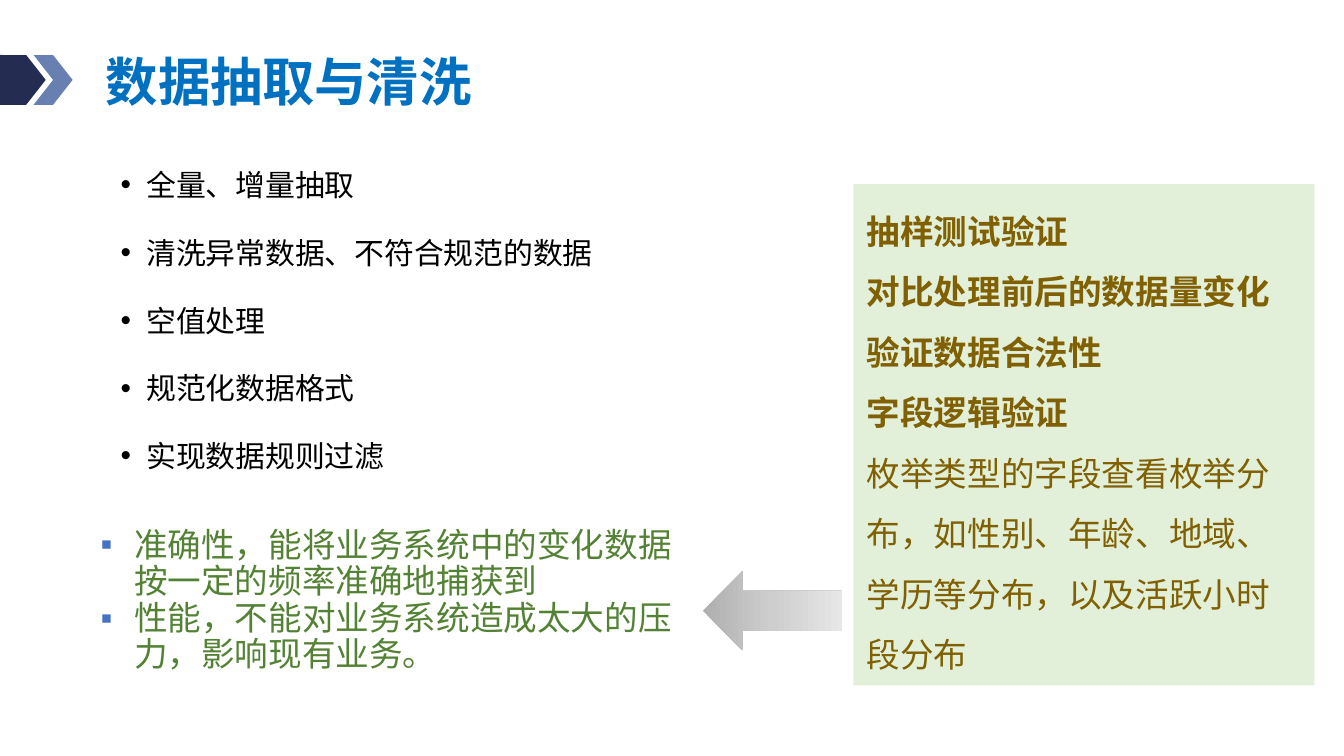
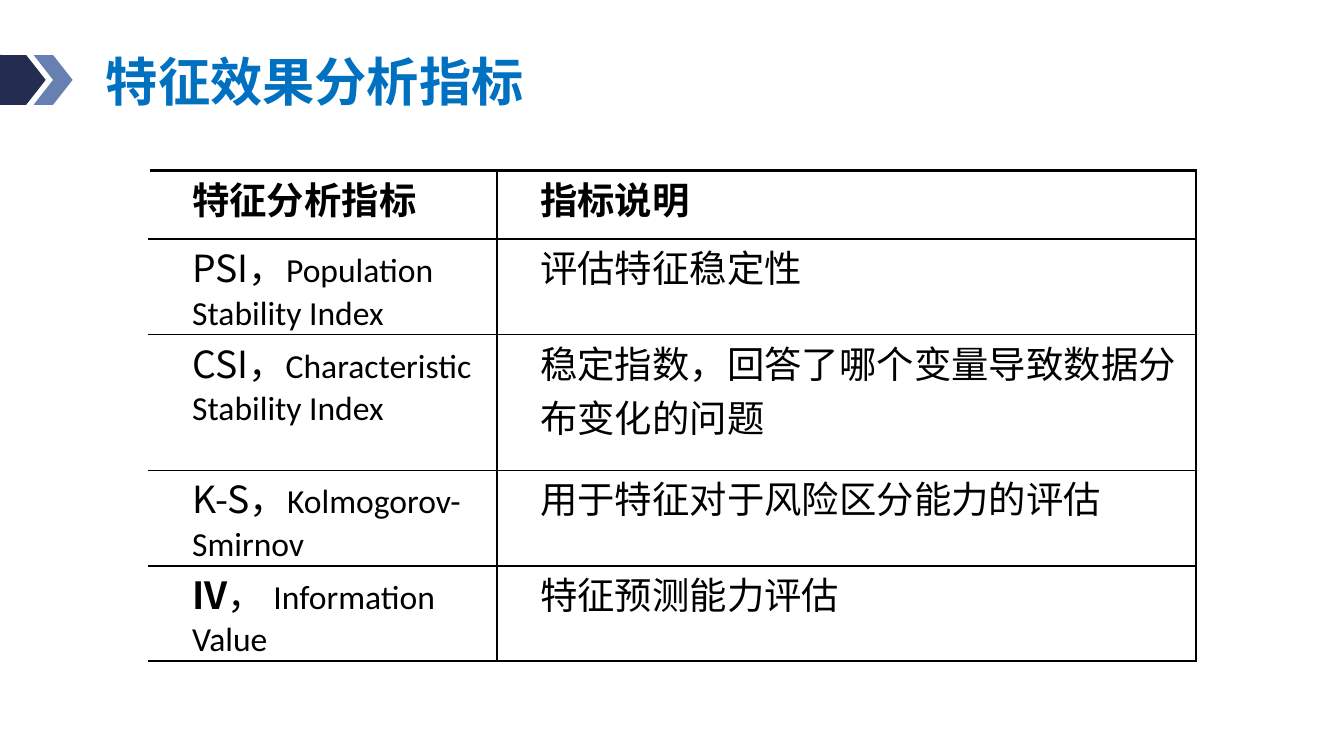
from dataclasses import dataclass

from lxml.etree import SubElement
from pptx import Presentation
from pptx.dml.color import RGBColor
from pptx.enum.shapes import MSO_SHAPE
from pptx.enum.text import MSO_ANCHOR, PP_ALIGN
from pptx.oxml.ns import qn
from pptx.util import Inches, Pt


@dataclass(frozen=True)
class Theme:
    font: str = "Noto Sans CJK SC"
    latin: str = "Calibri"
    title: str = "0070C0"
    navy: str = "242C52"
    steel: str = "6880B1"
    ink: str = "000000"
    green: str = "548235"
    bullet: str = "4472C4"
    brown: str = "806000"
    panel: str = "E2F0D9"
    arrow: tuple = ((0, "AFAFAF"), (50, "CECECE"), (100, "E7E7E7"))
    title_size: int = 28
    list_size: int = 16
    note_size: int = 18
    cell_size: int = 20


T = Theme()

STEPS = ["全量、增量抽取", "清洗异常数据、不符合规范的数据", "空值处理",
         "规范化数据格式", "实现数据规则过滤"]
GOALS = ["准确性，能将业务系统中的变化数据按一定的频率准确地捕获到",
         "性能，不能对业务系统造成太大的压力，影响现有业务。"]
CHECKS = ["抽样测试验证", "对比处理前后的数据量变化", "验证数据合法性", "字段逻辑验证"]
DETAIL = "枚举类型的字段查看枚举分布，如性别、年龄、地域、学历等分布，以及活跃小时段分布"
HEADS = ["特征分析指标", "指标说明"]
# short name, bold name, separator, full name, meaning
METRICS = [
    ("PSI", False, "，", "Population Stability Index", "评估特征稳定性"),
    ("CSI", False, "，", "Characteristic Stability Index",
     "稳定指数，回答了哪个变量导致数据分布变化的问题"),
    ("K-S", False, "，", "Kolmogorov-Smirnov", "用于特征对于风险区分能力的评估"),
    ("IV", True, "， ", "Information Value", "特征预测能力评估"),
]


def add_run(para, text, size, color=T.ink, bold=False, font=T.font):
    run = para.add_run()
    run.text = text
    run.font.size = Pt(size)
    run.font.bold = bold
    run.font.name = font
    run.font.color.rgb = RGBColor.from_string(color)
    SubElement(run.font._element, qn("a:ea"), typeface=font)


def set_indent(para, left, mark=None, tint=None):
    """Indent a paragraph; a mark hangs in the indent as its bullet."""
    props = para._p.get_or_add_pPr()
    props.set("marL", str(Inches(left)))
    props.set("indent", str(-Inches(left) if mark else 0))
    if tint:
        color = SubElement(props, qn("a:buClr"))
        SubElement(color, qn("a:srgbClr"), val=tint)
    if mark:
        SubElement(props, qn("a:buFont"), typeface="Arial")
        SubElement(props, qn("a:buChar"), char=mark)


def write(frame, lines, size, color=T.ink, bold=False, space=1.0, gap=0,
          left=0, mark=None, tint=None):
    """Add one paragraph per line, filling an empty first one."""
    frame.word_wrap = True
    for line in lines:
        first = not frame.paragraphs[0].runs
        para = frame.paragraphs[0] if first else frame.add_paragraph()
        para.alignment = PP_ALIGN.LEFT
        para.line_spacing = space
        if gap and not first:
            para.space_before = Pt(gap)
        if left:
            set_indent(para, left, mark, tint)
        add_run(para, line, size, color, bold)


def add_text(slide, box, lines, size, anchor=MSO_ANCHOR.TOP, **style):
    frame = slide.shapes.add_textbox(*map(Inches, box)).text_frame
    frame.vertical_anchor = anchor
    write(frame, lines, size, **style)


def add_block(slide, kind, box, fill=None):
    shape = slide.shapes.add_shape(kind, *map(Inches, box))
    shape.shadow.inherit = False
    shape.line.fill.background()
    if fill:
        shape.fill.solid()
        shape.fill.fore_color.rgb = RGBColor.from_string(fill)
    return shape


def blend(shape, stops):
    """Fill a shape with a gradient that runs from left to right."""
    shape.fill.gradient()
    shape.fill.gradient_angle = 0
    group = shape._element.spPr.find(qn("a:gradFill")).find(qn("a:gsLst"))
    for old in list(group):
        group.remove(old)
    for place, color in stops:
        stop = SubElement(group, qn("a:gs"), pos=str(place * 1000))
        SubElement(stop, qn("a:srgbClr"), val=color)


def set_edges(cell, **widths):
    """Draw cell borders; sides are keyed L, R, T, B in points."""
    props = cell._tc.get_or_add_tcPr()
    for index, side in enumerate(s for s in "LRTB" if s in widths):
        line = props.makeelement(qn(f"a:ln{side}"), {"w": str(Pt(widths[side]))})
        fill = SubElement(line, qn("a:solidFill"))
        SubElement(fill, qn("a:srgbClr"), val=T.ink)
        props.insert(index, line)


def add_page(deck, title):
    slide = deck.slides.add_slide(deck.slide_layouts[6])
    tab = add_block(slide, MSO_SHAPE.ROUNDED_RECTANGLE,
                    (-0.15, 0.41, 0.35, 0.37), T.navy)
    tab.adjustments[0] = 0.1
    for left, fill in ((0.25, T.steel), (0.05, T.navy)):
        add_block(slide, MSO_SHAPE.CHEVRON, (left, 0.41, 0.29, 0.37), fill)
    add_text(slide, (0.69, 0.4, 6.8, 0.46), [title], T.title_size,
             anchor=MSO_ANCHOR.MIDDLE, color=T.title, bold=True, space=0.9)
    return slide


def add_metrics(slide):
    widths, heights = (2.59, 5.2), (0.51, 0.71, 1.01, 0.71, 0.71)
    frame = slide.shapes.add_table(
        len(heights), len(widths), Inches(1.11), Inches(1.27),
        Inches(sum(widths)), Inches(sum(heights)))
    table = frame.table
    table.first_row = table.horz_banding = False
    for col, width in zip(table.columns, widths):
        col.width = Inches(width)
    for row, height in zip(table.rows, heights):
        row.height = Inches(height)

    for r in range(len(heights)):
        for c in range(len(widths)):
            cell = table.cell(r, c)
            cell.fill.background()
            cell.margin_left, cell.margin_right = Inches(0.03), Inches(0.04)
            cell.margin_top = cell.margin_bottom = 0
            edges = {"R": 1, "T": 1.5 if r < 2 else 1, "B": 1 if r else 1.5}
            if c:
                edges["L"] = 1
            set_edges(cell, **edges)
            para = cell.text_frame.paragraphs[0]
            set_indent(para, 0.29)
            if r or c:
                para.space_after = Pt(3)

    for c, head in enumerate(HEADS):
        para = table.cell(0, c).text_frame.paragraphs[0]
        para.alignment = PP_ALIGN.JUSTIFY
        add_run(para, head, T.cell_size, bold=True)
    for r, (name, bold, mark, full, sense) in enumerate(METRICS, 1):
        para = table.cell(r, 0).text_frame.paragraphs[0]
        if bold:
            add_run(para, name, T.cell_size, bold=True)
            add_run(para, mark, T.cell_size)
        else:
            add_run(para, name + mark, T.cell_size)
        add_run(para, full, T.note_size, font=T.latin)
        add_run(table.cell(r, 1).text_frame.paragraphs[0], sense, T.cell_size)


def add_clean(deck):
    slide = add_page(deck, "数据抽取与清洗")
    add_text(slide, (0.8, 1.06, 4.85, 2.17), STEPS, T.list_size,
             space=1.5, gap=7.5, left=0.19, mark="•")
    add_text(slide, (0.65, 3.88, 4.53, 1.2), GOALS, T.note_size,
             color=T.green, space=0.9, gap=0.5, left=0.25, mark="▪",
             tint=T.bullet)
    panel = add_block(slide, MSO_SHAPE.RECTANGLE, (6.35, 1.37, 3.43, 3.73), T.panel)
    frame = panel.text_frame
    frame.vertical_anchor = MSO_ANCHOR.TOP
    style = dict(size=T.note_size, color=T.brown, space=1.5)
    write(frame, CHECKS, bold=True, **style)
    write(frame, [DETAIL], **style)
    arrow = add_block(slide, MSO_SHAPE.LEFT_ARROW, (5.23, 4.25, 1.04, 0.59))
    blend(arrow, T.arrow)


def main():
    deck = Presentation()
    deck.slide_width = Inches(10)
    deck.slide_height = deck.slide_width * 9 // 16
    add_clean(deck)
    add_metrics(add_page(deck, "特征效果分析指标"))
    deck.save("out.pptx")


if __name__ == "__main__":
    main()
